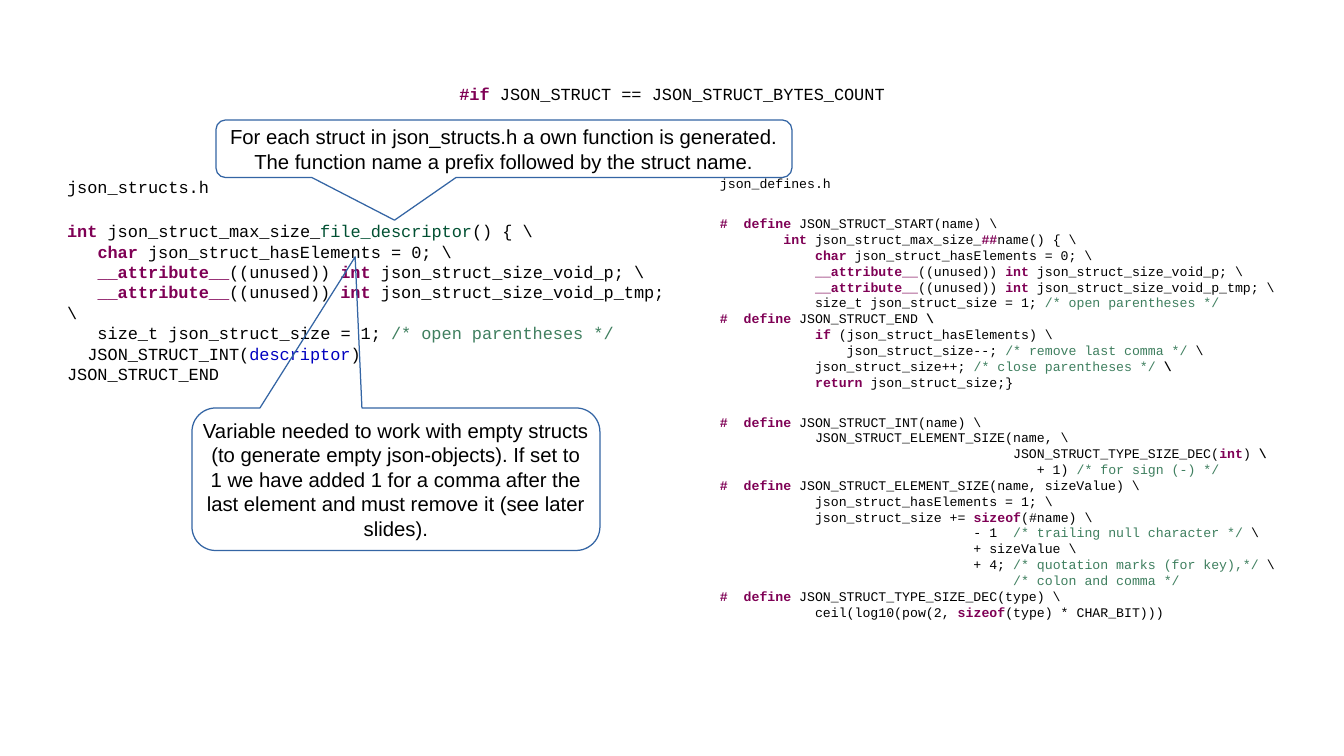
from dataclasses import dataclass

from pptx import Presentation
from pptx.dml.color import RGBColor
from pptx.enum.shapes import MSO_SHAPE
from pptx.enum.text import MSO_ANCHOR, PP_ALIGN
from pptx.util import Cm, Pt


@dataclass(frozen=True)
class Theme:
    code_font: str = "Courier New"
    note_font: str = "Arial"
    code_size: float = 10
    small_code_size: float = 7.8
    note_size: float = 12
    block_gap: float = 14.2
    text: RGBColor = RGBColor(0x00, 0x00, 0x00)
    outline: RGBColor = RGBColor(0x34, 0x65, 0xA4)
    keyword: RGBColor = RGBColor(0x7F, 0x00, 0x55)
    struct_name: RGBColor = RGBColor(0x00, 0x50, 0x32)
    comment: RGBColor = RGBColor(0x3F, 0x7F, 0x5F)
    field: RGBColor = RGBColor(0x00, 0x00, 0xC0)


THEME = Theme()

# Highlighting is written §key:text§; each key has a colour and a weight
STYLES = {
    "k": (THEME.keyword, True),
    "b": (THEME.text, True),
    "s": (THEME.struct_name, False),
    "c": (THEME.comment, False),
    "f": (THEME.field, False),
}

CONDITION = "§k:#if§ JSON_STRUCT == JSON_STRUCT_BYTES_COUNT"

STRUCTS_CODE = r"""json_structs.h

§k:int§ json_struct_max_size_§s:file_descriptor§() { \
   §k:char§ json_struct_hasElements = 0; \
   §k:__attribute__§((unused)) §k:int§ json_struct_size_void_p; \
   §k:__attribute__§((unused)) §k:int§ json_struct_size_void_p_tmp; \
   size_t json_struct_size = 1; §c:/* open parentheses */§
  JSON_STRUCT_INT(§f:descriptor§)
JSON_STRUCT_END"""

START_DEFINE = r"""§k:#  define§ JSON_STRUCT_START(name) \
        §k:int§ json_struct_max_size_§k:##§name() { \
            §k:char§ json_struct_hasElements = 0; \
            §k:__attribute__§((unused)) §k:int§ json_struct_size_void_p; \
            §k:__attribute__§((unused)) §k:int§ json_struct_size_void_p_tmp; \
            size_t json_struct_size = 1; §c:/* open parentheses */§
"""

END_DEFINE = r"""§k:#  define §JSON_STRUCT_END§b: \§
            §k:if§ (json_struct_hasElements) \
                json_struct_size--; §c:/* remove last comma */§ \
            json_struct_size++; §c:/* close parentheses */§§b: \§
            §k:return §json_struct_size;}"""

INT_DEFINE = r"""§k:#  define §JSON_STRUCT_INT(name) \
            JSON_STRUCT_ELEMENT_SIZE(name, \
                                     JSON_STRUCT_TYPE_SIZE_DEC(§k:int§)§b: \§
                                        + 1) §c:/* for sign (-) */§
"""

SIZE_DEFINES = r"""§k:#  define§ JSON_STRUCT_ELEMENT_SIZE(name, sizeValue) \
            json_struct_hasElements = 1; \
            json_struct_size += §k:sizeof§(#name) \
                                - 1  §c:/* trailing null character */§ \
                                + sizeValue \
                                + 4; §c:/* quotation marks (for key),*/§ \
                                     §c:/* colon and comma */§
§k:#  define §JSON_STRUCT_TYPE_SIZE_DEC(type) \
            ceil(log10(pow(2, §k:sizeof§(type) * CHAR_BIT)))"""

DEFINES_CODE = "\n\n".join(
    ["json_defines.h", START_DEFINE + END_DEFINE, INT_DEFINE + SIZE_DEFINES])

FUNCTION_NOTE = """For each struct in json_structs.h a own function is generated.
The function name a prefix followed by the struct name."""

VARIABLE_NOTE = """Variable needed to work with empty structs
(to generate empty json-objects). If set to
1 we have added 1 for a comma after the
last element and must remove it (see later
slides)."""


def add_line(paragraph, line):
    """Write one line, giving its marked pieces their colour and weight."""
    for index, piece in enumerate(line.split("§")):
        if not piece:
            continue
        run = paragraph.add_run()
        if index % 2:
            key, _, run.text = piece.partition(":")
            run.font.color.rgb, run.font.bold = STYLES[key]
        else:
            run.text = piece


def fill_text(frame, text, font, size, align):
    """Blank lines separate paragraphs; other line ends are line breaks."""
    for index, block in enumerate(text.split("\n\n")):
        paragraph = frame.add_paragraph() if index else frame.paragraphs[0]
        paragraph.alignment = align
        paragraph.space_before = Pt(THEME.block_gap if index else 0)
        paragraph.font.name = font
        paragraph.font.size = Pt(size)
        paragraph.font.color.rgb = THEME.text
        for number, line in enumerate(block.split("\n")):
            if number:
                paragraph.add_line_break()
            add_line(paragraph, line)


def add_code(slide, box, code, size, align=PP_ALIGN.LEFT, anchor=MSO_ANCHOR.TOP):
    frame = slide.shapes.add_textbox(*map(Cm, box)).text_frame
    frame.word_wrap = True
    frame.vertical_anchor = anchor
    frame.margin_left = frame.margin_right = 0
    frame.margin_top = frame.margin_bottom = 0
    fill_text(frame, code, THEME.code_font, size, align)


def add_note(slide, box, note, pointer):
    """Add a callout; pointer is its tip from the centre, in box sizes."""
    callout = slide.shapes.add_shape(
        MSO_SHAPE.ROUNDED_RECTANGULAR_CALLOUT, *map(Cm, box))
    callout.shadow.inherit = False
    callout.fill.background()
    callout.line.color.rgb = THEME.outline
    callout.line.width = Pt(0)
    callout.adjustments[0], callout.adjustments[1] = pointer
    frame = callout.text_frame
    frame.word_wrap = False
    frame.vertical_anchor = MSO_ANCHOR.MIDDLE
    fill_text(frame, note, THEME.note_font, THEME.note_size, PP_ALIGN.CENTER)


def main():
    presentation = Presentation()
    presentation.slide_width, presentation.slide_height = Cm(28), Cm(15.75)
    slide = presentation.slides.add_slide(presentation.slide_layouts[6])

    # Condition as title, then the two listings
    add_code(slide, (1.4, 0.63, 25.2, 2.64), CONDITION, THEME.code_size,
             PP_ALIGN.CENTER, MSO_ANCHOR.MIDDLE)
    add_code(slide, (1.4, 3.68, 12.6, 9.14), STRUCTS_CODE, THEME.code_size)
    add_code(slide, (15, 3.66, 11.6, 9.14), DEFINES_CODE, THEME.small_code_size)

    # Explanations pointing into the left listing
    add_note(slide, (4.5, 2.5, 12, 1.2), FUNCTION_NOTE, (-0.19, 1.24))
    add_note(slide, (4, 8.5, 8.5, 2.97), VARIABLE_NOTE, (-0.1, -1.56))

    presentation.save("out.pptx")


if __name__ == "__main__":
    main()
